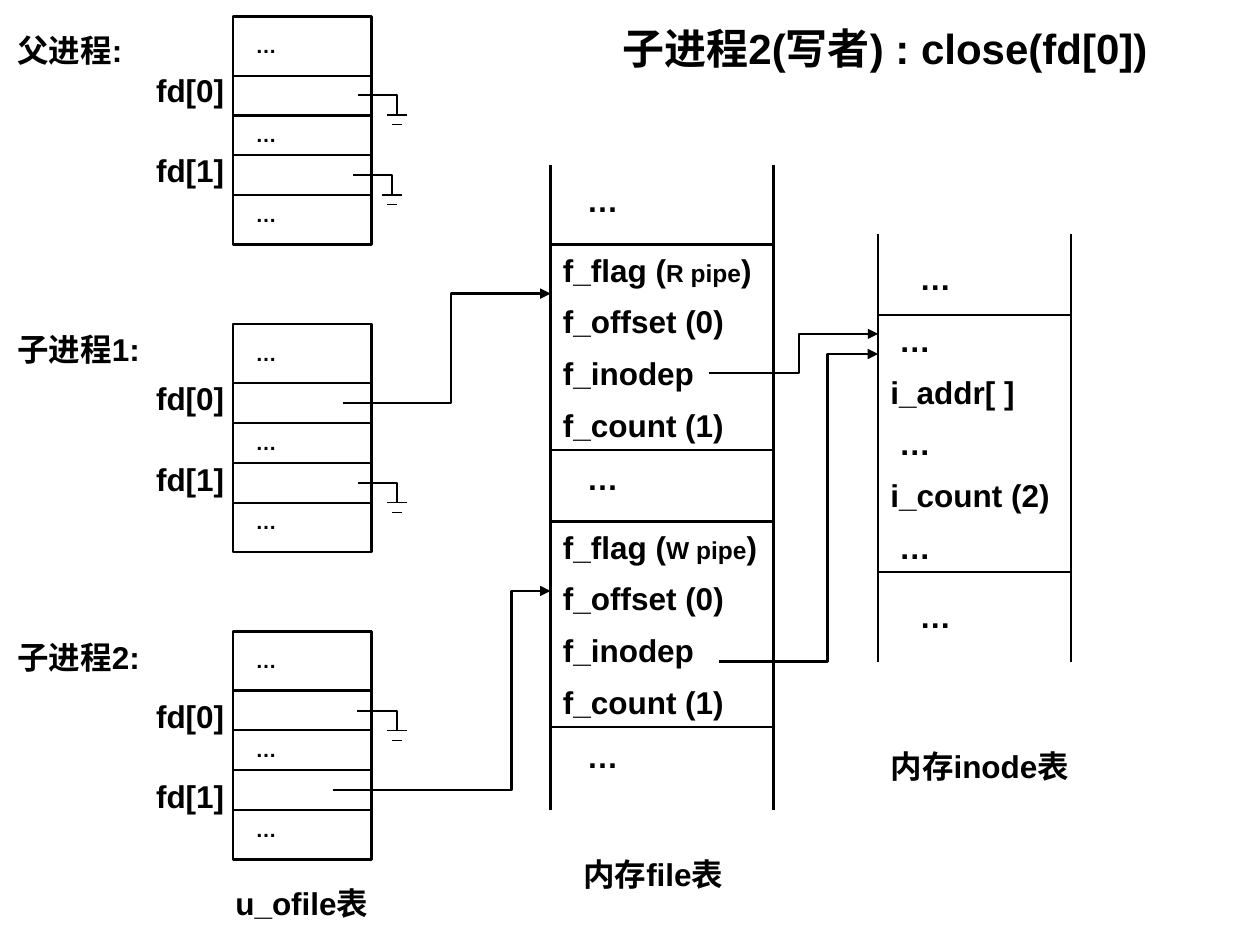
"""Build the slide on pipe descriptors after child process 2 closes fd[0]."""
from dataclasses import dataclass

from lxml import etree
from pptx import Presentation
from pptx.dml.color import RGBColor
from pptx.enum.shapes import MSO_CONNECTOR, MSO_SHAPE
from pptx.enum.text import MSO_ANCHOR, MSO_AUTO_SIZE, PP_ALIGN
from pptx.oxml.ns import qn
from pptx.util import Pt

RECT = MSO_SHAPE.RECTANGLE
STRAIGHT = MSO_CONNECTOR.STRAIGHT
TOP = MSO_ANCHOR.TOP
NO_FIT = MSO_AUTO_SIZE.NONE
LEFT = PP_ALIGN.LEFT


@dataclass(frozen=True)
class Theme:
    ink: RGBColor = RGBColor(0, 0, 0)
    font: str = "Arial"
    title: int = 24
    body: int = 18
    small: int = 14
    cell: int = 12
    gap: float = 7.9
    heavy: float = 1.5
    medium: float = 1.25
    thin: float = 0.75


T = Theme()

prs = Presentation()
prs.slide_width, prs.slide_height = Pt(720), Pt(540)
s = prs.slides.add_slide(prs.slide_layouts[5])


def add_text(sp, box, lines, size=T.body):
    """Place a shape and fill it; parts between bars are set small."""
    sp.left, sp.top, sp.width, sp.height = map(Pt, box)
    tf = sp.text_frame
    tf.word_wrap = True
    tf.auto_size = NO_FIT
    tf.vertical_anchor = TOP
    for i, line in enumerate(lines):
        p = tf.add_paragraph() if i else tf.paragraphs[0]
        p.alignment = LEFT
        p.space_before = Pt(T.gap if i else 0)
        for j, part in enumerate(line.split("|")):
            r = p.add_run()
            r.text = part
            r.font.name = T.font
            r.font.size = Pt(T.small if j % 2 else size)
            r.font.bold = True
            r.font.color.rgb = T.ink


def add_path(points, width, arrow=False):
    """Draw a straight connector for two points, else an open polyline."""
    pts = [(Pt(x), Pt(y)) for x, y in points]
    if len(pts) == 2:
        sp = s.shapes.add_connector(STRAIGHT, *pts[0], *pts[1])
    else:
        fb = s.shapes.build_freeform(*pts[0])
        fb.add_line_segments(pts[1:], close=False)
        sp = fb.convert_to_shape()
        sp.fill.background()
    sp.line.color.rgb = T.ink
    sp.line.width = Pt(width)
    spPr = sp._element.spPr
    if arrow:
        etree.SubElement(spPr.find(qn("a:ln")), qn("a:tailEnd"), type="triangle")
    etree.SubElement(spPr, qn("a:effectLst"))


add_text(s.shapes.title, (348.5, 9.4, 345.6, 36), ["子进程2(写者) : close(fd[0])"], T.title)

table_x, table_w, table_h = 133.2, 79.2, 130.3
file_x, file_w = 314.6, 127.5
inode_x, inode_w = 501.8, 110.2
table_tops = [9.4 + 175.7 * i for i in range(3)]
file_records = [(139.7, "R"), (298.1, "W")]

boxes = [((table_x, y, table_w, table_h), []) for y in table_tops]
boxes += [
    ((file_x, y, file_w, 117.4),
     [f"f_flag (|{mode} pipe|)", "f_offset (0)", "f_inodep", "f_count (1)"])
    for y, mode in file_records
]
boxes.append(((inode_x, 180, inode_w, 146.9),
              [" …", "i_addr[ ]", " …", "i_count (2)", " …"]))
for box, lines in boxes:
    sp = s.shapes.add_shape(RECT, 0, 0, 0, 0)
    sp.shadow.inherit = False
    sp.fill.background()
    sp.line.color.rgb = T.ink
    sp.line.width = Pt(T.heavy)
    add_text(sp, box, lines)

for x, w, top, bottom in [(file_x, file_w, 94.3, 463), (inode_x, inode_w, 133.9, 378)]:
    for side in (x, x + w):
        add_path([(side, top), (side, bottom)], T.heavy)

labels = [
    ((2.9, 14.4, 79.2, 28.8), "父进程:", T.body),
    ((2.9, table_tops[1], 85, 50.4), "子进程1:", T.body),
    ((2.9, table_tops[2], 85, 50.4), "子进程2:", T.body),
    ((127.4, 501.8, 102.2, 28.8), "u_ofile表", T.body),
    ((326.2, 485.3, 102.2, 50.4), "内存file表", T.body),
    ((501.8, 423.4, 118.8, 50.4), "内存inode表", T.body),
]
labels += [((328.3, y, 74.2, 28.8), "…", T.body) for y in (100.1, 258.5, 417.6)]
labels += [((518.4, y, 67.7, 28.8), "…", T.body) for y in (144.7, 337.7)]
for y, fd_offset in zip(table_tops, (27.4, 28.1, 33.8)):
    for i in range(4):
        row = y + 33.8 + 22.8 * i
        add_path([(table_x, row), (table_x + table_w, row)], T.medium)
    labels += [((139, y + dy, 62.6, 21.6), "…", T.cell) for dy in (5.8, 56.6, 102.2)]
    labels += [((82.1, y + fd_offset + 46.1 * i, 56.9, 28.8), f"fd[{i}]", T.body)
               for i in range(2)]
for box, text, size in labels:
    add_text(s.shapes.add_textbox(0, 0, 0, 0), box, [text], size)

arrows = [
    (195.8, 230.4, 257.8, 167.8, file_x),
    (190.1, 451.4, 292.3, 337.7, file_x),
    (405.4, 213.1, 456.5, 190.8, inode_x),
    (411.1, 378, 473, 202.3, inode_x),
]
for x, y, bend, target_y, target_x in arrows:
    add_path([(x, y), (bend, y), (bend, target_y), (target_x, target_y)], T.heavy, arrow=True)

for x, y in [(204.5, 54.5), (201.6, 100.1), (204.5, 276), (204.2, 406.3)]:
    mid, base = x + 22.5, y + 11.3
    add_path([(x, y), (mid, y), (mid, base)], T.medium)
    for half, drop in [(5.8, 0), (2.9, 5.4)]:
        add_path([(mid - half, base + drop), (mid + half, base + drop)], T.thin)

prs.save("out.pptx")
